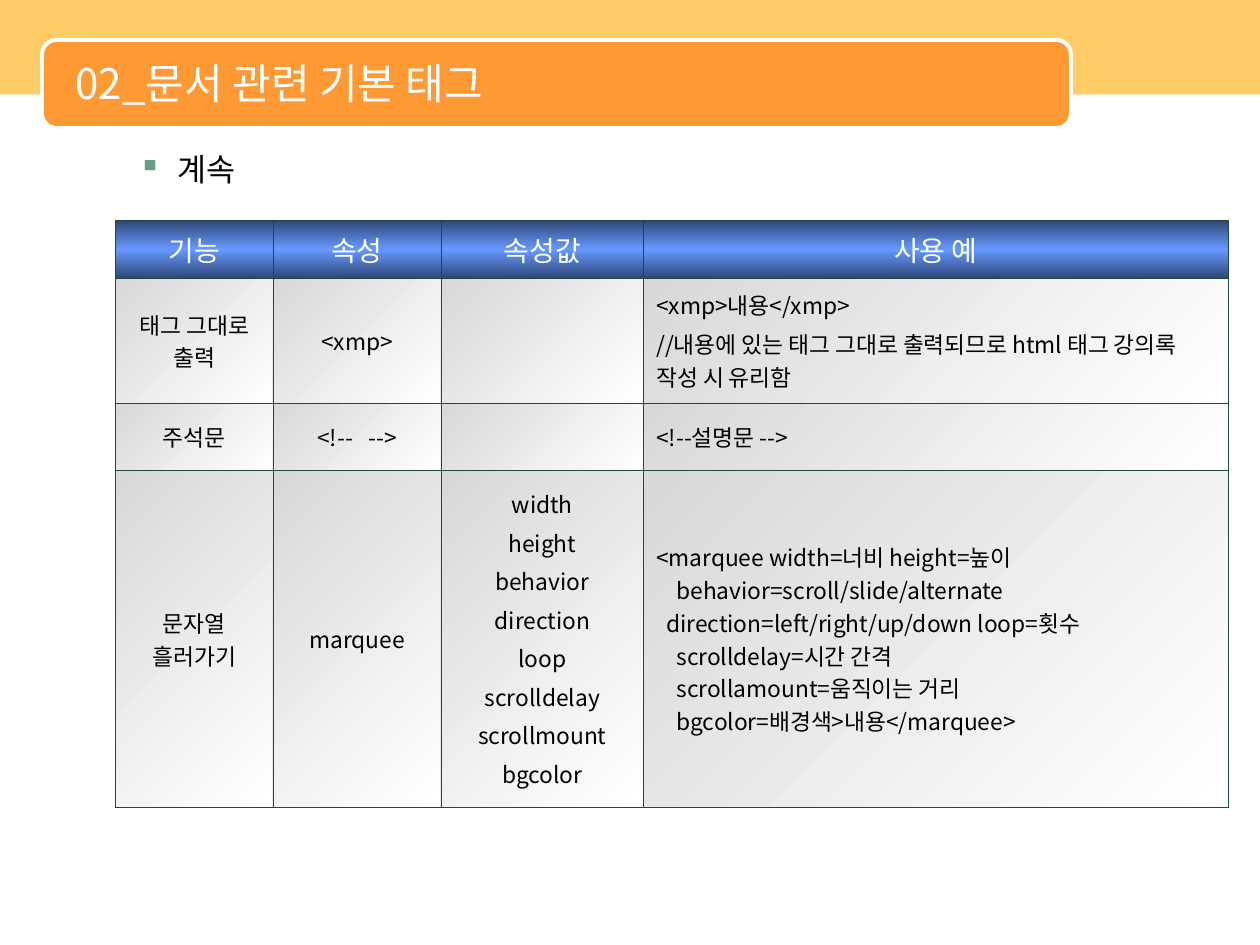
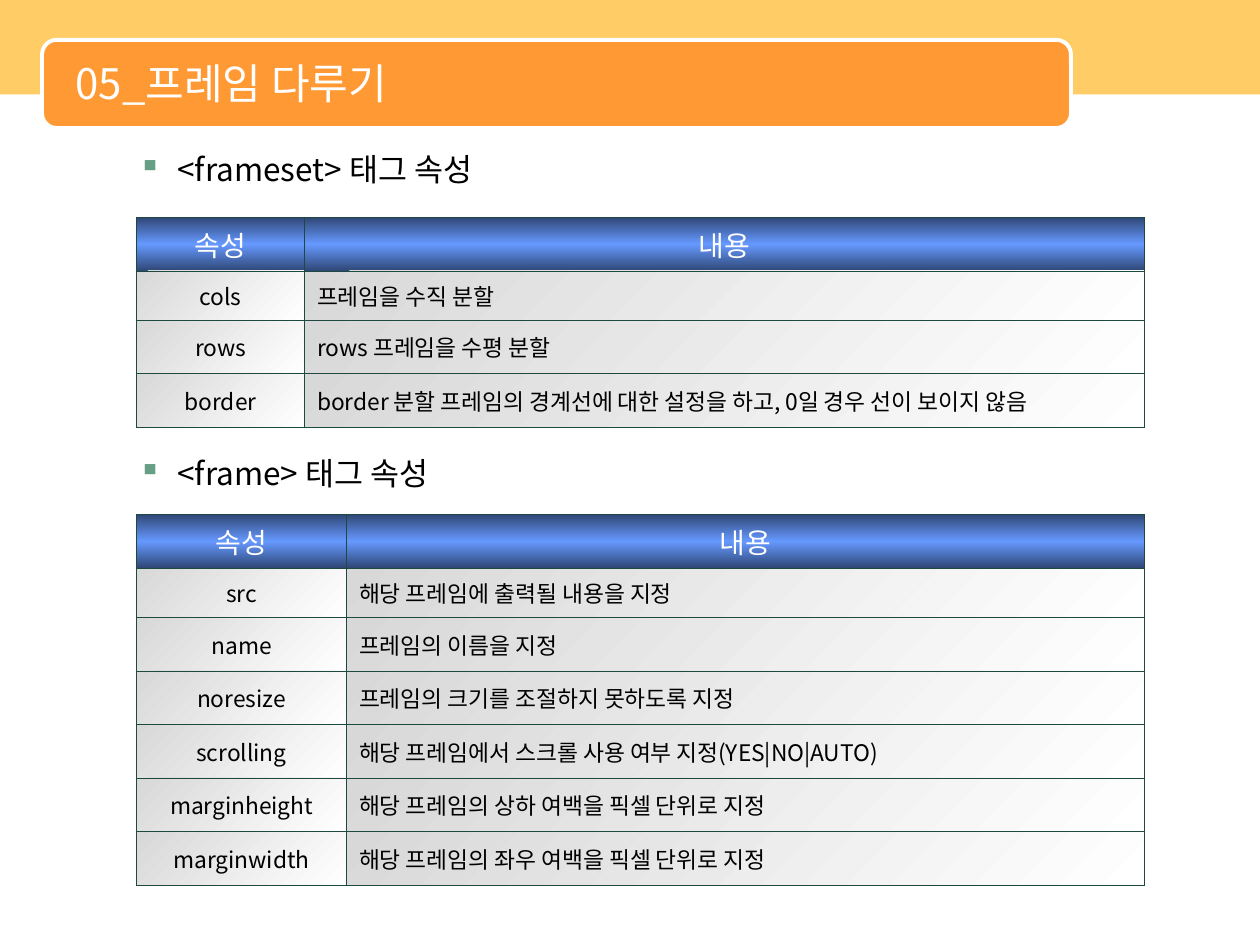
from copy import deepcopy

from lxml.etree import SubElement
from pptx import Presentation
from pptx.dml.color import RGBColor
from pptx.enum.shapes import MSO_SHAPE
from pptx.enum.text import MSO_ANCHOR, PP_ALIGN
from pptx.oxml.ns import qn
from pptx.util import Inches, Pt

FONT = "Noto Sans CJK KR"
WHITE = RGBColor(0xFF, 0xFF, 0xFF)
BLACK = RGBColor(0x00, 0x00, 0x00)
YELLOW = RGBColor(0xFF, 0xCC, 0x66)
ORANGE = RGBColor(0xFF, 0x99, 0x33)
GREEN = RGBColor(0x66, 0x9E, 0x86)
BORDER = RGBColor(0x1D, 0x49, 0x40)
NAVY = RGBColor(0x2F, 0x47, 0x76)
BLUE = RGBColor(0x66, 0x99, 0xFF)
GRAY = RGBColor(0xD8, 0xD8, 0xD8)

COLUMNS, ROWS = 120, 90
HEADER_ROW, FIRST_ROW, ROW = 5.1, 4.7, 5.1


def add(parent, tag, **attributes):
    return SubElement(parent, qn(tag), {k: str(v) for k, v in attributes.items()})


def add_color(parent, color):
    add(parent, "a:srgbClr", val=color)


class Deck:
    def __init__(self):
        self.prs = Presentation()
        self.prs.slide_width, self.prs.slide_height = Inches(10), Inches(7.5)
        self.layout = self.prs.slide_layouts[5]
        self.s = None

    def x(self, columns):
        return round(self.prs.slide_width * columns / COLUMNS)

    def y(self, rows):
        return round(self.prs.slide_height * rows / ROWS)

    def box(self, left, top, width, height):
        return self.x(left), self.y(top), self.x(width), self.y(height)

    def slide(self, title):
        self.s = self.prs.slides.add_slide(self.layout)
        if len(self.prs.slides) == 1:
            self.bands()
        sp = self.s.shapes.title
        sp.left, sp.top, sp.width, sp.height = self.box(6, 4.2, 95, 7.4)
        tf = sp.text_frame
        tf.vertical_anchor = MSO_ANCHOR.MIDDLE
        p = tf.paragraphs[0]
        p.text = title
        p.alignment = PP_ALIGN.LEFT
        self.style(p, 24, WHITE)

    def bands(self):
        for ph in list(self.layout.placeholders):
            if ph.placeholder_format.idx:
                ph.element.getparent().remove(ph.element)
        top_band = self.band(MSO_SHAPE.RECTANGLE, YELLOW, 0, 0, COLUMNS, 9)
        title_band = self.band(MSO_SHAPE.ROUNDED_RECTANGLE, ORANGE, 4, 3.8, 98, 8.4)
        title_band.line.color.rgb = WHITE
        title_band.line.width = Pt(2.25)
        for sp in (top_band, title_band):
            self.layout.shapes.element.append(sp.element)

    def band(self, kind, color, *place):
        sp = self.s.shapes.add_shape(kind, *self.box(*place))
        sp.shadow.inherit = False
        sp.fill.solid()
        sp.fill.fore_color.rgb = color
        sp.line.fill.background()
        return sp

    def style(self, p, size, color):
        for r in p.runs:
            r.font.size = Pt(size)
            r.font.color.rgb = color
            r.font.name = FONT
            add(r.font._element, "a:ea", typeface=FONT)
        for br in p._p.findall(qn("a:br")):
            br.append(deepcopy(p.runs[0].font._element))

    def bullet(self, text, top):
        sp = self.s.shapes.add_textbox(*self.box(6, top, 108, 5.5))
        tf = sp.text_frame
        tf.word_wrap = True
        p = tf.paragraphs[0]
        p.text = text
        pPr = p._p.get_or_add_pPr()
        pPr.set("marL", str(Inches(0.81)))
        pPr.set("indent", str(-Inches(0.31)))
        add_color(add(pPr, "a:buClr"), GREEN)
        add(pPr, "a:buChar", char="▪")
        self.style(p, 18, BLACK)

    def table(self, left, top, widths, heights, rows):
        place = self.box(left, top, sum(widths), sum(heights))
        tbl = self.s.shapes.add_table(len(rows), len(widths), *place).table
        tbl.horz_banding = False
        for column, width in zip(tbl.columns, widths):
            column.width = self.x(width)
        for row, height in zip(tbl.rows, heights):
            row.height = self.y(height)
        for i, texts in enumerate(rows):
            for j, text in enumerate(texts):
                self.cell(tbl.cell(i, j), text, i == 0, j == len(widths) - 1)

    def cell(self, cell, text, header, last):
        cell.vertical_anchor = MSO_ANCHOR.MIDDLE
        tf = cell.text_frame
        tf.text = text
        size, color = (16, WHITE) if header else (13, BLACK)
        for i, p in enumerate(tf.paragraphs):
            p.alignment = PP_ALIGN.CENTER if header or not last else PP_ALIGN.LEFT
            if i:
                p.space_before = Pt(3.3)
            self.style(p, size, color)
        tcPr = cell._tc.get_or_add_tcPr()
        for side in ("a:lnL", "a:lnR", "a:lnT", "a:lnB"):
            add_color(add(add(tcPr, side, w=Pt(0.45)), "a:solidFill"), BORDER)
        if header:
            self.gradient(tcPr, 90, NAVY, BLUE, NAVY)
        else:
            self.gradient(tcPr, 45, GRAY, WHITE)

    def gradient(self, parent, angle, *colors):
        fill = add(parent, "a:gradFill", rotWithShape=1)
        stops = add(fill, "a:gsLst")
        for i, color in enumerate(colors):
            add_color(add(stops, "a:gs", pos=100000 * i // (len(colors) - 1)), color)
        add(fill, "a:lin", ang=angle * 60000, scaled=0)

    def attribute_table(self, top, name_width, entries):
        heights = [HEADER_ROW, FIRST_ROW] + [ROW] * (len(entries) - 1)
        self.table(13, top, [name_width, 96 - name_width], heights,
                   [("속성", "내용"), *entries])


MARQUEE_VALUES = "\n".join((
    "width", "height", "behavior", "direction",
    "loop", "scrolldelay", "scrollmount", "bgcolor",
))
MARQUEE_EXAMPLE = "\v".join((
    "<marquee width=너비 height=높이",
    "    behavior=scroll/slide/alternate",
    "  direction=left/right/up/down loop=횟수",
    "    scrolldelay=시간 간격",
    "    scrollamount=움직이는 거리",
    "    bgcolor=배경색>내용</marquee>",
))
DOCUMENT_TAGS = [
    ("기능", "속성", "속성값", "사용 예"),
    ("태그 그대로 출력", "<xmp>", "",
     "<xmp>내용</xmp>\n//내용에 있는 태그 그대로 출력되므로 html 태그 강의록 작성 시 유리함"),
    ("주석문", "<!--   -->", "", "<!--설명문 -->"),
    ("문자열 흘러가기", "marquee", MARQUEE_VALUES, MARQUEE_EXAMPLE),
]
FRAMESET_ATTRIBUTES = [
    ("cols", "프레임을 수직 분할"),
    ("rows", "rows 프레임을 수평 분할"),
    ("border", "border 분할 프레임의 경계선에 대한 설정을 하고, 0일 경우 선이 보이지 않음"),
]
FRAME_ATTRIBUTES = [
    ("src", "해당 프레임에 출력될 내용을 지정"),
    ("name", "프레임의 이름을 지정"),
    ("noresize", "프레임의 크기를 조절하지 못하도록 지정"),
    ("scrolling", "해당 프레임에서 스크롤 사용 여부 지정(YES|NO|AUTO)"),
    ("marginheight", "해당 프레임의 상하 여백을 픽셀 단위로 지정"),
    ("marginwidth", "해당 프레임의 좌우 여백을 픽셀 단위로 지정"),
]


def main():
    deck = Deck()

    deck.slide("02_문서 관련 기본 태그")
    deck.bullet("계속", 13.7)
    deck.table(11, 21, [15, 16, 19.3, 55.7], [5.5, 11.9, 6.4, 32.1], DOCUMENT_TAGS)

    deck.slide("05_프레임 다루기")
    deck.bullet("<frameset> 태그 속성", 13.7)
    deck.attribute_table(20.7, 16, FRAMESET_ATTRIBUTES)
    deck.bullet("<frame> 태그 속성", 42.65)
    deck.attribute_table(49, 20, FRAME_ATTRIBUTES)

    deck.prs.save("out.pptx")


if __name__ == "__main__":
    main()
